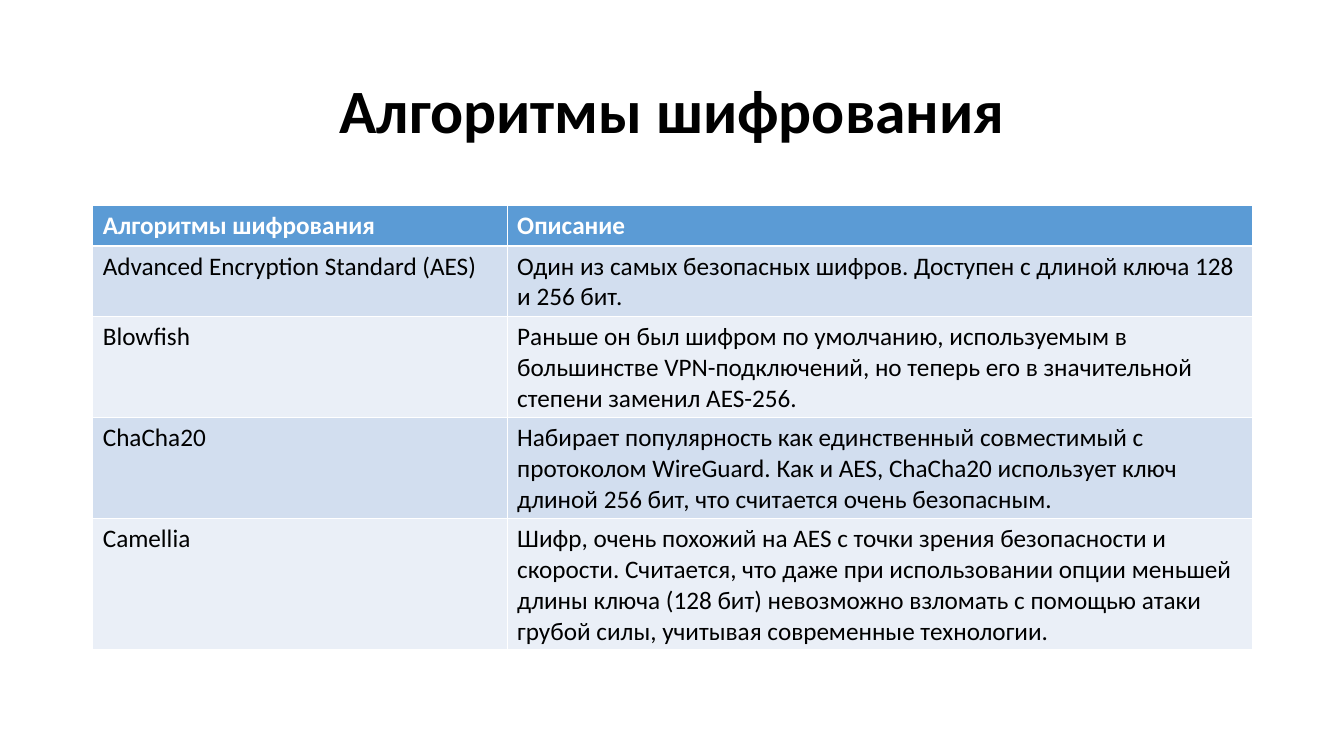
from dataclasses import dataclass

from pptx import Presentation
from pptx.dml.color import RGBColor
from pptx.enum.text import MSO_ANCHOR, PP_ALIGN
from pptx.util import Inches, Pt


@dataclass(frozen=True)
class Theme:
    """Colours, font and type sizes of the slide."""
    font: str = "Calibri"
    title_size: int = 44
    body_size: int = 18
    text: str = "000000"
    header_text: str = "FFFFFF"
    header_fill: str = "5B9BD5"
    band_fills: tuple = ("D2DEEF", "EAEFF7")


THEME = Theme()
TITLE = "Алгоритмы шифрования"
HEADINGS = ("Алгоритмы шифрования", "Описание")
CIPHERS = (
    ("Advanced Encryption Standard (AES)",
     "Один из самых безопасных шифров. Доступен с длиной ключа 128 и 256 бит.", 2),
    ("Blowfish",
     "Раньше он был шифром по умолчанию, используемым в большинстве VPN-подключений, "
     "но теперь его в значительной степени заменил AES-256.", 3),
    ("ChaCha20",
     "Набирает популярность как единственный совместимый с протоколом WireGuard. "
     "Как и AES, ChaCha20 использует ключ длиной 256 бит, что считается очень безопасным.", 3),
    ("Camellia",
     "Шифр, очень похожий на AES с точки зрения безопасности и скорости. Считается, что "
     "даже при использовании опции меньшей длины ключа (128 бит) невозможно взломать "
     "с помощью атаки грубой силы, учитывая современные технологии.", 4),
)


def write_text(frame, text, size=THEME.body_size, color=THEME.text, bold=False,
               align=PP_ALIGN.LEFT, spacing=None):
    """Write one formatted paragraph into a text frame."""
    paragraph = frame.paragraphs[0]
    paragraph.alignment = align
    paragraph.line_spacing = spacing
    run = paragraph.add_run()
    run.text = text
    run.font.name = THEME.font
    run.font.size = Pt(size)
    run.font.bold = bold
    run.font.color.rgb = RGBColor.from_string(color)


def add_title(slide, left, top, width, height):
    """Place the centred heading in the given box."""
    frame = slide.shapes.add_textbox(
        Inches(left), Inches(top), Inches(width), Inches(height)).text_frame
    frame.word_wrap = True
    frame.vertical_anchor = MSO_ANCHOR.MIDDLE
    write_text(frame, TITLE, size=THEME.title_size, bold=True,
               align=PP_ALIGN.CENTER, spacing=0.9)


def fill_row(table, row, texts, fill, **text_format):
    """Fill one table row with texts on a plain background."""
    for column, text in enumerate(texts):
        cell = table.cell(row, column)
        cell.fill.solid()
        cell.fill.fore_color.rgb = RGBColor.from_string(fill)
        write_text(cell.text_frame, text, **text_format)


def add_cipher_table(slide, left, top, width, height, name_width=4.11):
    """Place the table of ciphers, with rows as tall as their line counts."""
    table = slide.shapes.add_table(
        len(CIPHERS) + 1, len(HEADINGS),
        Inches(left), Inches(top), Inches(width), Inches(height)).table
    table.columns[0].width = Inches(name_width)
    table.columns[1].width = Inches(width - name_width)
    line_counts = [1] + [lines for _, _, lines in CIPHERS]
    padding = 0.1
    line_height = (height - padding * len(line_counts)) / sum(line_counts)
    for row, lines in zip(table.rows, line_counts):
        row.height = Inches(padding + lines * line_height)
    fill_row(table, 0, HEADINGS, THEME.header_fill, color=THEME.header_text, bold=True)
    for index, (name, description, _) in enumerate(CIPHERS):
        band = THEME.band_fills[index % len(THEME.band_fills)]
        fill_row(table, index + 1, (name, description), band)


def main():
    """Build the slide and save it."""
    deck = Presentation()
    deck.slide_width, deck.slide_height = Inches(13.33), Inches(7.5)
    slide = deck.slides.add_slide(deck.slide_layouts[6])
    add_title(slide, 0.92, 0.4, 11.5, 1.45)
    add_cipher_table(slide, 0.92, 2.04, 11.5, 4.41)
    deck.save("out.pptx")


if __name__ == "__main__":
    main()
